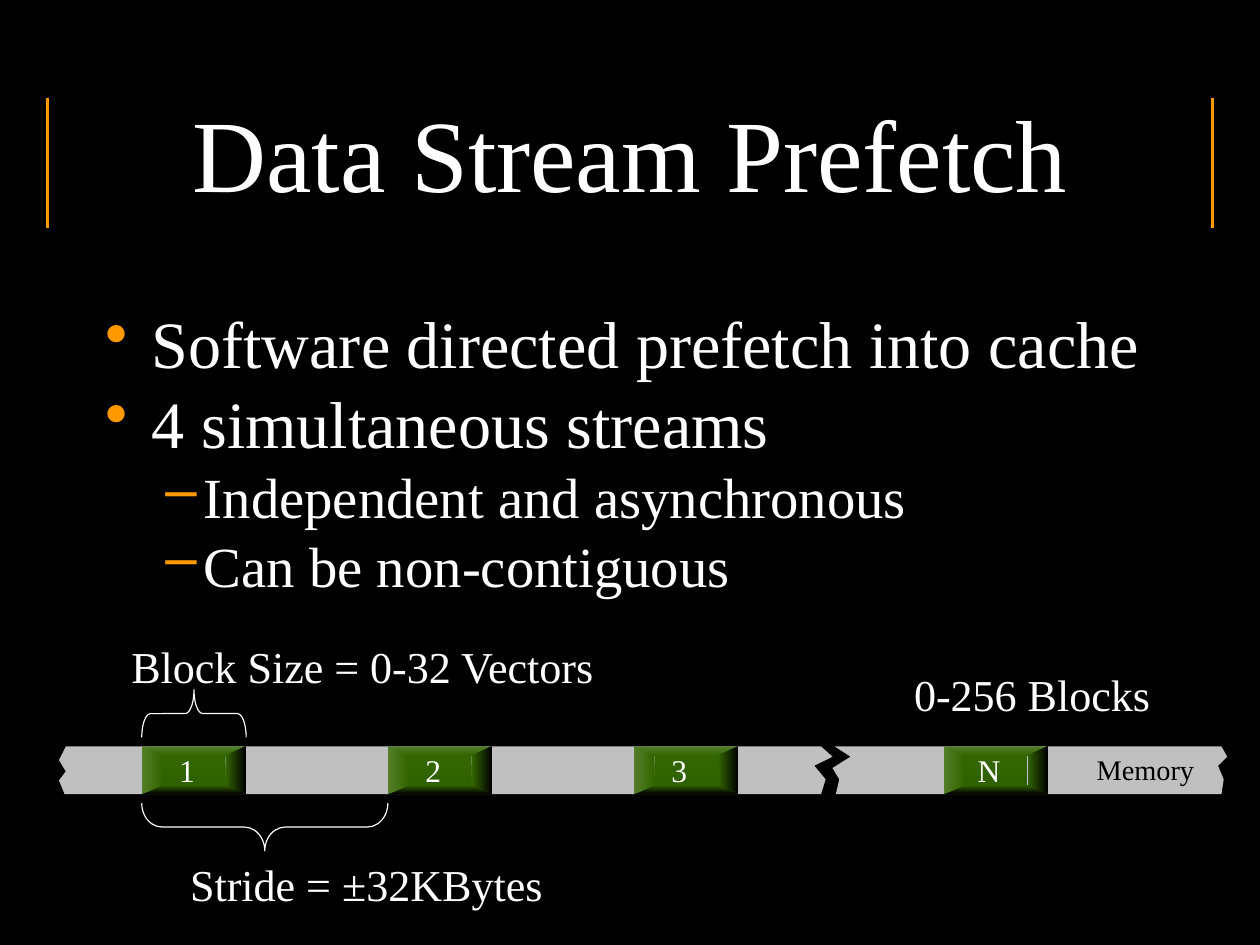
from dataclasses import dataclass

from lxml.etree import SubElement
from pptx import Presentation
from pptx.dml.color import RGBColor
from pptx.enum.shapes import MSO_CONNECTOR, MSO_SHAPE
from pptx.enum.text import MSO_ANCHOR, PP_ALIGN
from pptx.oxml.ns import qn
from pptx.util import Inches, Pt


@dataclass(frozen=True)
class Theme:
    font: str = "Times New Roman"
    background: str = "000000"
    text: str = "FFFFFF"
    memory_text: str = "000000"
    accent: str = "FF9900"
    memory: str = "C0C0C0"
    block: str = "336600"
    block_base: str = "306100"
    block_light: str = "547E29"
    block_dark: str = "000000"
    title_size: int = 65
    body_size: int = 42
    sub_size: int = 36
    label_size: int = 28
    block_size: int = 20
    memory_size: int = 18


DOWN, RIGHT = 270, 0  # gradient directions


class SlideBuilder:
    def __init__(self, slide, theme):
        self.slide = slide
        self.theme = theme
        slide.background.fill.solid()
        slide.background.fill.fore_color.rgb = RGBColor.from_string(theme.background)

    def line(self, x, top, bottom):
        connector = self.slide.shapes.add_connector(
            MSO_CONNECTOR.STRAIGHT, Inches(x), Inches(top), Inches(x), Inches(bottom))
        connector.line.color.rgb = RGBColor.from_string(self.theme.accent)
        connector.line.width = Pt(1.5)
        SubElement(connector._element.spPr, qn("a:effectLst"))

    def style_paragraph(self, paragraph, size, color):
        paragraph.line_spacing = 0.8
        paragraph.font.name = self.theme.font
        paragraph.font.size = Pt(size)
        paragraph.font.color.rgb = RGBColor.from_string(color)

    def text_frame(self, left, top, width, height, wrap):
        box = self.slide.shapes.add_textbox(
            Inches(left), Inches(top), Inches(width), Inches(height))
        box.text_frame.word_wrap = wrap
        return box.text_frame

    def label(self, text, left, top, width, height, size, color=None):
        frame = self.text_frame(left, top, width, height, False)
        frame.vertical_anchor = MSO_ANCHOR.MIDDLE
        paragraph = frame.paragraphs[0]
        paragraph.text = text
        paragraph.alignment = PP_ALIGN.CENTER
        self.style_paragraph(paragraph, size, color or self.theme.text)

    def bullets(self, items, left, top, width, height):
        frame = self.text_frame(left, top, width, height, True)
        levels = [("•", 0.41, 0.41, 10.5, self.theme.body_size),
                  ("–", 0.87, 0.34, 9, self.theme.sub_size)]
        for index, (level, text) in enumerate(items):
            mark, margin, hanging, space, size = levels[level]
            paragraph = frame.add_paragraph() if index else frame.paragraphs[0]
            paragraph.text = text
            paragraph.level = level
            paragraph.space_before = Pt(space if index else 0)
            properties = paragraph._p.get_or_add_pPr()
            properties.set("marL", str(Inches(margin)))
            properties.set("indent", str(-Inches(hanging)))
            bullet_color = SubElement(properties, qn("a:buClr"))
            SubElement(bullet_color, qn("a:srgbClr")).set("val", self.theme.accent)
            SubElement(properties, qn("a:buChar")).set("char", mark)
            self.style_paragraph(paragraph, size, self.theme.text)

    def paint(self, shape, colors, direction=DOWN):
        shape.shadow.inherit = False
        shape.line.fill.background()
        if len(colors) == 1:
            shape.fill.solid()
            shape.fill.fore_color.rgb = RGBColor.from_string(colors[0])
            return
        shape.fill.gradient()
        shape.fill.gradient_angle = direction
        for stop, color in zip(shape.fill.gradient_stops, colors):
            stop.color.rgb = RGBColor.from_string(color)

    def polygon(self, points, colors, direction=DOWN):
        corners = [(Inches(x), Inches(y)) for x, y in points]
        outline = self.slide.shapes.build_freeform(*corners[0])
        outline.add_line_segments(corners[1:], close=True)
        self.paint(outline.convert_to_shape(), colors, direction)

    def block(self, text, left, top, width, height):
        theme = self.theme
        right, bottom = left + width, top + height
        inset_x, inset_y = 0.18, 0.08
        inner_left, inner_right = left + inset_x, right - inset_x
        inner_top, inner_bottom = top + inset_y, bottom - inset_y
        face = self.slide.shapes.add_shape(
            MSO_SHAPE.RECTANGLE, Inches(inner_left), Inches(inner_top),
            Inches(width - 2 * inset_x), Inches(height - 2 * inset_y))
        self.paint(face, (theme.block, theme.block_base))
        # Bevel edges
        outer = [(left, top), (right, top), (right, bottom), (left, bottom)]
        inner = [(inner_left, inner_top), (inner_right, inner_top),
                 (inner_right, inner_bottom), (inner_left, inner_bottom)]
        lit, shaded = (theme.block_light, theme.block), (theme.block, theme.block_dark)
        edges = [(lit, DOWN), (shaded, RIGHT), (shaded, DOWN), (lit, RIGHT)]
        for side, (colors, direction) in enumerate(edges):
            after = (side + 1) % 4
            self.polygon([inner[side], outer[side], outer[after], inner[after]],
                         colors, direction)
        self.label(text, left + 0.2, top + 0.05, 0.4, 0.37, theme.block_size)

    def brace(self, left, top, width, height, rotation):
        # The brace is drawn upright, then turned about its centre
        shape = self.slide.shapes.add_shape(
            MSO_SHAPE.LEFT_BRACE, Inches(left + (width - height) / 2),
            Inches(top + (height - width) / 2), Inches(height), Inches(width))
        shape.rotation = rotation
        shape.adjustments[0] = width / height / 12
        shape.shadow.inherit = False
        shape.fill.background()
        shape.line.color.rgb = RGBColor.from_string(self.theme.text)
        shape.line.width = Pt(0.75)


def main():
    presentation = Presentation()
    presentation.slide_width = Inches(11.11)
    presentation.slide_height = Inches(8.33)
    theme = Theme()
    builder = SlideBuilder(
        presentation.slides.add_slide(presentation.slide_layouts[6]), theme)

    # Title between two rules
    for x in (0.42, 10.69):
        builder.line(x, 0.86, 2.01)
    builder.label("Data Stream Prefetch", 0.49, 0.74, 10.14, 1.39, theme.title_size)

    # Bullets
    builder.bullets([(0, "Software directed prefetch into cache"),
                     (0, "4 simultaneous streams"),
                     (1, "Independent and asynchronous"),
                     (1, "Can be non-contiguous")], 0.83, 2.75, 9.44, 4.52)

    # Memory strip, torn in two
    memory_pieces = [
        [(7.36, 6.58), (10.77, 6.58), (10.82, 6.67), (10.74, 6.75), (10.79, 6.87),
         (10.77, 7), (7.37, 7), (7.4, 6.87), (7.34, 6.77), (7.5, 6.67)],
        [(0.58, 6.58), (7.24, 6.58), (7.34, 6.67), (7.18, 6.75), (7.28, 6.87),
         (7.24, 7), (0.57, 7), (0.52, 6.88), (0.58, 6.8), (0.52, 6.7)]]
    for points in memory_pieces:
        builder.polygon(points, [theme.memory])
    builder.label("Memory", 9.51, 6.64, 1.18, 0.34, theme.memory_size, theme.memory_text)

    # Blocks one stride apart, then the last one
    first, stride, block_width = 1.25, 2.17, 0.92
    for index in range(3):
        builder.block(str(index + 1), first + index * stride, 6.58, block_width, 0.42)
    builder.block("N", 8.32, 6.58, block_width, 0.42)

    # Braces and their labels
    builder.brace(first, 6.08, block_width, 0.42, 90)
    builder.brace(first, 7.08, stride, 0.42, 270)
    builder.label("Block Size = 0-32 Vectors", 0.86, 5.67, 4.67, 0.48, theme.label_size)
    builder.label("Stride = ±32KBytes", 1.43, 7.59, 3.6, 0.48, theme.label_size)
    builder.label("0-256 Blocks", 7.86, 5.92, 2.48, 0.48, theme.label_size)

    presentation.save("out.pptx")


if __name__ == "__main__":
    main()
